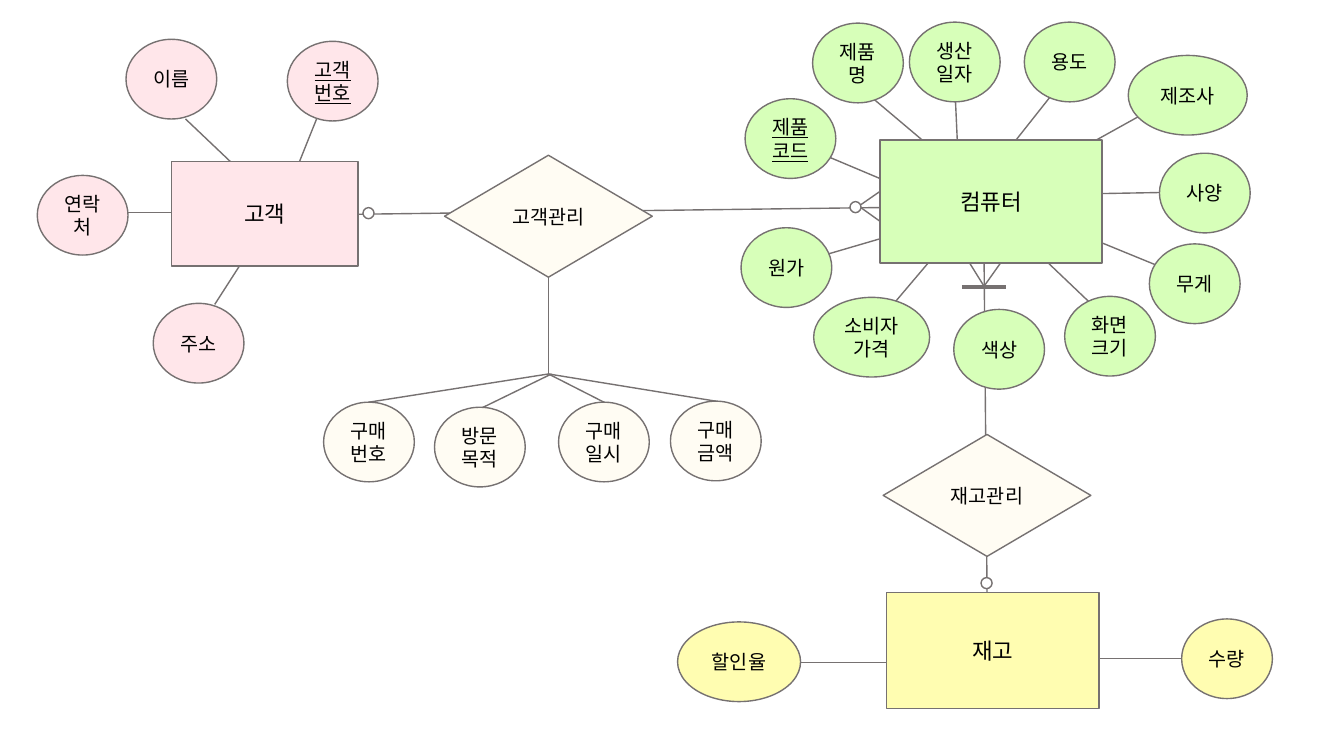
from dataclasses import dataclass

from lxml import etree
from pptx import Presentation
from pptx.dml.color import RGBColor
from pptx.enum.shapes import MSO_CONNECTOR, MSO_SHAPE
from pptx.enum.text import MSO_ANCHOR, PP_ALIGN
from pptx.oxml.ns import qn
from pptx.util import Inches, Pt

RECTANGLE, ELLIPSE, DIAMOND = MSO_SHAPE.RECTANGLE, MSO_SHAPE.OVAL, MSO_SHAPE.DIAMOND
STRAIGHT = MSO_CONNECTOR.STRAIGHT
MIDDLE, CENTER = MSO_ANCHOR.MIDDLE, PP_ALIGN.CENTER
BLANK_LAYOUT = 6
BOTTOM = 2
COLUMNS, ROWS = 133.3, 75


@dataclass(frozen=True)
class Theme:
    font: str = "Calibri"
    ink: str = "000000"
    outline: str = "767171"
    marker: str = "FFFFFF"
    customer: str = "FFE6EA"
    computer: str = "D7FFB9"
    stock: str = "FFFDB1"
    relation: str = "FFFCF3"
    entity_size: int = 16
    label_size: int = 14
    thin: int = 1
    thick: int = 3


@dataclass(frozen=True)
class Attribute:
    label: str
    left: float
    top: float
    link: tuple
    width: float = 9
    key: bool = False


def apply(target, values):
    for name, value in values.items():
        setattr(target, name, value)


class Diagram:
    def __init__(self, deck, theme):
        self.theme = theme
        self.slide = deck.slides.add_slide(deck.slide_layouts[BLANK_LAYOUT])
        self.column = deck.slide_width / COLUMNS
        self.row = deck.slide_height / ROWS

    def place(self, *lengths):
        units = (self.column, self.row) * 2
        return [round(length * unit) for length, unit in zip(lengths, units)]

    def outline(self, line, weight):
        line.color.rgb = RGBColor.from_string(self.theme.outline)
        line.width = Pt(weight)

    def link(self, ends, weight=None):
        connector = self.slide.shapes.add_connector(STRAIGHT, *self.place(*ends))
        self.outline(connector.line, weight or self.theme.thin)
        etree.SubElement(connector._element.spPr, qn("a:effectLst"))
        return connector

    def node(self, kind, box, fill, label="", size=None, underline=None):
        shape = self.slide.shapes.add_shape(kind, *self.place(*box))
        shape.shadow.inherit = False
        shape.fill.solid()
        shape.fill.fore_color.rgb = RGBColor.from_string(fill)
        self.outline(shape.line, self.theme.thin)
        if label:
            self.caption(shape.text_frame, label, size, underline)
        return shape

    def caption(self, frame, label, size, underline):
        apply(frame, {"word_wrap": True, "vertical_anchor": MIDDLE})
        paragraph = frame.paragraphs[0]
        paragraph.alignment = CENTER
        run = paragraph.add_run()
        run.text = label
        apply(run.font, {"name": self.theme.font, "size": Pt(size), "underline": underline})
        run.font.color.rgb = RGBColor.from_string(self.theme.ink)

    def entity(self, label, box, fill):
        return self.node(RECTANGLE, box, fill, label, self.theme.entity_size)

    def relation(self, label, left, top):
        box = (left, top, 20.6, 12.1)
        return self.node(DIAMOND, box, self.theme.relation, label, self.theme.label_size)

    def attribute(self, item, fill):
        box = (item.left, item.top, item.width, 7.9)
        underline = True if item.key else None
        return self.node(ELLIPSE, box, fill, item.label, self.theme.label_size, underline)

    def optional_mark(self, left, top):
        return self.node(ELLIPSE, (left, top, 1.1, 1.1), self.theme.marker)


THEME = Theme()

ENTITIES = [
    ("재고", (87.9, 58.8, 21.1, 11.5), THEME.stock),
    ("컴퓨터", (87.3, 13.9, 22, 12.2), THEME.computer),
    ("고객", (17, 16, 18.5, 10.4), THEME.customer),
]

ATTRIBUTES = {
    THEME.stock: [
        Attribute("할인율", 67.2, 61.7, (78.9, 65.7, 95.8, 65.7), width=12.2),
        Attribute("수량", 117.2, 61.4, (101.6, 65.3, 118.5, 65.3)),
    ],
    THEME.customer: [
        Attribute("이름", 12.5, 3.9, (24.4, 17.5, 18.4, 11.8)),
        Attribute("주소", 15.2, 30.1, (26.7, 21.8, 21.3, 30.2)),
        Attribute("연락처", 3.7, 17.4, (19.7, 21.1, 10.6, 21.1)),
        Attribute("고객번호", 28.5, 4.1, (29.2, 17.3, 31.8, 10.8), key=True),
    ],
    THEME.relation: [
        Attribute("방문목적", 43.1, 40.4, (46.5, 41.1, 54.7, 37.1)),
        Attribute("구매번호", 32.1, 39.9, (54.4, 37.1, 36.6, 39.9)),
        Attribute("구매일시", 55.4, 39.9, (54.4, 37.1, 59.9, 39.9)),
        Attribute("구매금액", 66.5, 39.8, (54.4, 37.1, 71, 39.8)),
    ],
    THEME.computer: [
        Attribute("제품 코드", 73.9, 9.8, (90.1, 18.9, 80.6, 14.9), key=True),
        Attribute("용도", 101.6, 2.2, (99.1, 16, 104.8, 8.8)),
        Attribute("제조사", 111.9, 5.5, (101.7, 17.8, 114.3, 10.8), width=11.8),
        Attribute("생산일자", 90.2, 2.2, (95.1, 17.3, 94.7, 8.5)),
        Attribute("제품명", 80.6, 2.3, (94.2, 16.2, 86.5, 9.7)),
        Attribute("원가", 73.5, 22.6, (93.4, 21.9, 81.1, 25.5)),
        Attribute("화면크기", 105.6, 29.4, (108.7, 30.6, 100.2, 22.5)),
        Attribute("사양", 115, 15.2, (104.1, 19.3, 115, 19.1)),
        Attribute("소비자가격", 80.7, 29.5, (95.1, 22.5, 87.9, 31), width=11.5),
        Attribute("무게", 114, 24.2, (103.2, 21.6, 115.9, 26.8)),
        Attribute("색상", 94.6, 30.7, (97.6, 25.3, 97.9, 58.9)),
    ],
}

CUSTOMER_TO_COMPUTER = (24.4, 21.4, 102.2, 20.4)
MANDATORY_BAR = (95.4, 28.5, 99.8, 28.5)
CROWS_FEET = [
    (85.1, 20.5, 87.7, 18.7),
    (85.1, 20.4, 87.9, 22.4),
    (97.6, 28.4, 99.3, 26),
    (95.8, 25.5, 97.6, 28.4),
]
OPTIONAL_MARKS = [(97.3, 57.3), (84.3, 20), (36, 20.6)]


def main():
    deck = Presentation()
    apply(deck, {"slide_width": Inches(13.33), "slide_height": Inches(7.5)})
    diagram = Diagram(deck, THEME)

    for group in ATTRIBUTES.values():
        for item in group:
            diagram.link(item.link)
    for ends in [CUSTOMER_TO_COMPUTER, *CROWS_FEET]:
        diagram.link(ends)
    diagram.link(MANDATORY_BAR, THEME.thick)
    for corner in OPTIONAL_MARKS:
        diagram.optional_mark(*corner)

    for label, box, fill in ENTITIES:
        diagram.entity(label, box, fill)
    for fill, group in ATTRIBUTES.items():
        for item in group:
            diagram.attribute(item, fill)

    customer_care = diagram.relation("고객관리", 44.1, 15.4)
    diagram.relation("재고관리", 87.6, 43.1)
    purchase_stem = diagram.link((54.4, 27.5, 54.4, 37.1))
    purchase_stem.begin_connect(customer_care, BOTTOM)

    deck.save("out.pptx")


if __name__ == "__main__":
    main()
